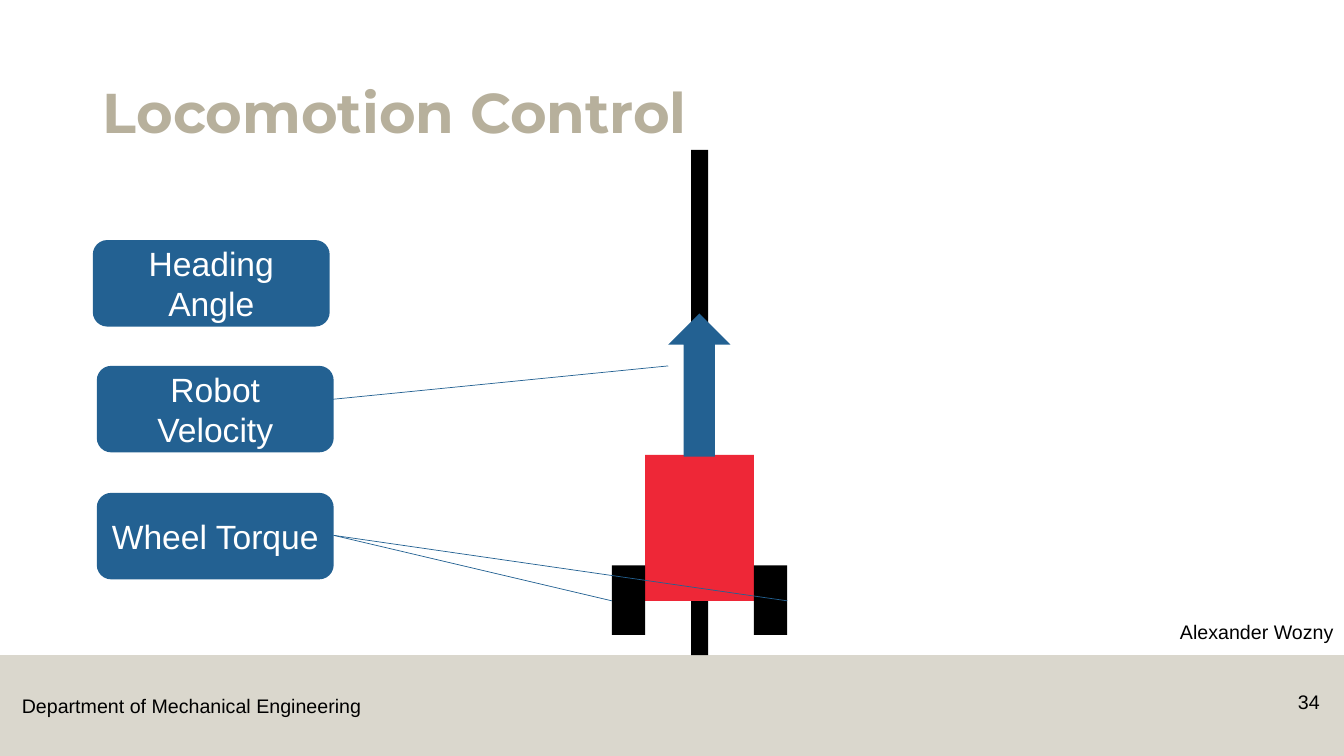
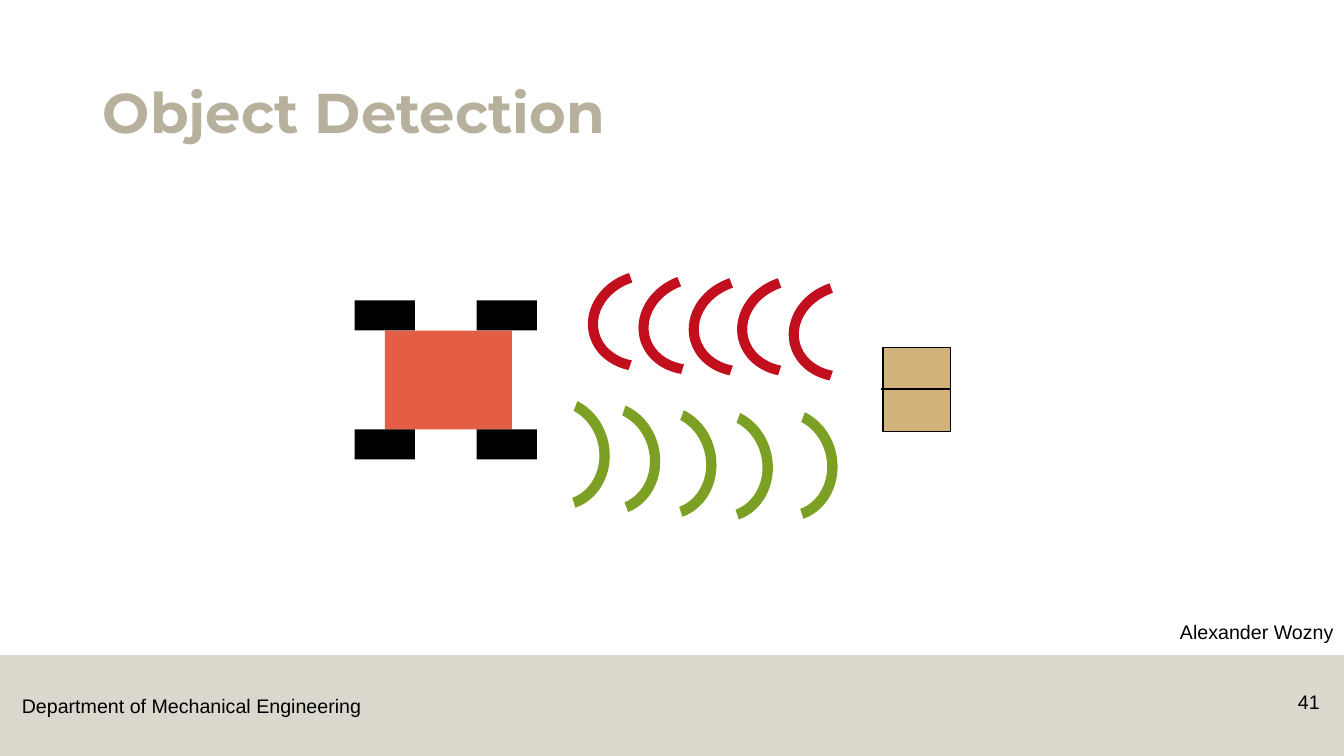
from lxml import etree
from pptx import Presentation
from pptx.dml.color import RGBColor
from pptx.enum.shapes import MSO_CONNECTOR, MSO_SHAPE
from pptx.enum.text import MSO_ANCHOR, PP_ALIGN
from pptx.oxml.ns import qn
from pptx.util import Cm, Pt

RECT, ROUND_RECT = MSO_SHAPE.RECTANGLE, MSO_SHAPE.ROUNDED_RECTANGLE
UP_ARROW, BLOCK_ARC = MSO_SHAPE.UP_ARROW, MSO_SHAPE.BLOCK_ARC
STRAIGHT = MSO_CONNECTOR.STRAIGHT
LEFT, CENTER, RIGHT = PP_ALIGN.LEFT, PP_ALIGN.CENTER, PP_ALIGN.RIGHT
MIDDLE, BOTTOM = MSO_ANCHOR.MIDDLE, MSO_ANCHOR.BOTTOM

COLORS = {
    "sand": "B7B09C", "black": "000000", "white": "FFFFFF", "blue": "236192",
    "red": "EE2737", "coral": "E45E46", "green": "7CA023",
    "crimson": "C10F1D", "cardboard": "D3B37C",
}
BODY_FONT, TITLE_FONT = "Arial", "Montserrat"

# Content; all lengths in centimetres
WIDTH, HEIGHT, BAND_HEIGHT = 33.87, 19.05, 2.54
BAND_TOP = HEIGHT - BAND_HEIGHT
DEPARTMENT = "Department of Mechanical Engineering"
AUTHOR = "Alexander Wozny"

LABEL_SIZE = (5.97, 2.18)
LABELS = [  # text, left, top
    ("Heading Angle", 2.34, 6.05),
    ("Robot Velocity", 2.44, 9.22),
    ("Wheel Torque", 2.44, 12.42),
]
POINTERS = [  # start, end
    ((8.2, 10.08), (16.84, 9.22)),
    ((8.41, 13.49), (15.42, 15.14)),
    ((8.41, 13.49), (19.84, 15.14)),
]

WAVES = [  # colour, size, (left, top, rotation) of each arc
    ("green", (2.9, 2.62), [
        (12.6, 10.11, 77.5), (13.87, 10.24, 75), (15.29, 10.34, 77.2),
        (16.71, 10.41, 77.2), (18.34, 10.39, 77.2)]),
    ("crimson", (2.54, 2.95), [
        (15.01, 6.6, 256), (16.28, 6.68, 253.5), (17.55, 6.73, 255.7),
        (18.77, 6.73, 255.7), (20.07, 6.86, 255.7)]),
]
ARC_ADJUSTMENTS = (128.06, 212.59, 0.1)


def rgb(name):
    return RGBColor.from_string(COLORS[name])


def style_text(frame, text, size, color, align, font=BODY_FONT, bold=False):
    frame.text = text
    paragraph = frame.paragraphs[0]
    paragraph.alignment = align
    run_font = paragraph.runs[0].font
    run_font.name, run_font.size, run_font.bold = font, Pt(size), bold
    run_font.color.rgb = rgb(color)


def add_text(slide, text, left, top, width, height, align=LEFT, wrap=True):
    box = slide.shapes.add_textbox(Cm(left), Cm(top), Cm(width), Cm(height))
    box.text_frame.word_wrap = wrap
    style_text(box.text_frame, text, 14, "black", align)
    return box


def add_block(slide, kind, color, left, top, width, height, outline=None):
    block = slide.shapes.add_shape(kind, Cm(left), Cm(top), Cm(width), Cm(height))
    block.shadow.inherit = False
    block.fill.solid()
    block.fill.fore_color.rgb = rgb(color)
    if outline:
        block.line.color.rgb = rgb(outline)
        block.line.width = Pt(1)
    else:
        block.line.fill.background()
    return block


def add_line(slide, start, end, color, width):
    line = slide.shapes.add_connector(STRAIGHT, *map(Cm, start + end))
    line.line.color.rgb = rgb(color)
    line.line.width = Pt(width)
    etree.SubElement(line.element.spPr, qn("a:effectLst"))


def add_shared_parts(slide, layout):
    """Draw the band and its texts, then hand them to the layout."""
    band = add_block(slide, RECT, "sand", 0, BAND_TOP, WIDTH, BAND_HEIGHT)
    band_color = band.element.spPr.find(qn("a:solidFill"))[0]
    etree.SubElement(band_color, qn("a:alpha"), val="50000")
    department = add_text(slide, DEPARTMENT, 0.3, 17.35, 9.12, 0.86, wrap=False)
    author = add_text(slide, AUTHOR, 22.43, 15.49, 11.43, 1.02, RIGHT)
    for part in (band, department, author):
        layout.shapes.element.append(part.element)


def add_titled_slide(deck, layout, title, number):
    slide = deck.slides.add_slide(layout)
    heading = slide.shapes.title
    heading.left, heading.top = Cm(2.34), Cm(1.02)
    heading.width, heading.height = Cm(29.21), Cm(2.77)
    heading.text_frame.vertical_anchor = BOTTOM
    style_text(heading.text_frame, title, 40, "sand", LEFT, TITLE_FONT, True)
    heading.text_frame.paragraphs[0].line_spacing = 0.9
    add_text(slide, number, 31.55, 17.25, 1.96, 1.02, RIGHT)
    return slide


def draw_locomotion(slide):
    # Path and robot seen from above
    add_block(slide, RECT, "black", 17.42, 3.78, 0.43, BAND_TOP - 3.78)
    add_block(slide, RECT, "red", 16.26, 11.46, 2.74, 3.68)
    for wheel_left in (15.42, 19):
        add_block(slide, RECT, "black", wheel_left, 14.25, 0.84, 1.75)
    add_block(slide, UP_ARROW, "blue", 16.84, 7.9, 1.57, 3.61)

    # Labels with their pointers
    for text, left, top in LABELS:
        label = add_block(slide, ROUND_RECT, "blue", left, top, *LABEL_SIZE)
        label.text_frame.vertical_anchor = MIDDLE
        label.text_frame.word_wrap = True
        style_text(label.text_frame, text, 24, "white", CENTER)
    for start, end in POINTERS:
        add_line(slide, start, end, "blue", 0.5)


def draw_detection(slide):
    # Sound waves going out and coming back
    for color, size, arcs in WAVES:
        for left, top, rotation in arcs:
            arc = add_block(slide, BLOCK_ARC, color, left, top, *size)
            arc.rotation = rotation
            for index, value in enumerate(ARC_ADJUSTMENTS):
                arc.adjustments[index] = value

    # Robot
    add_block(slide, RECT, "coral", 9.7, 8.33, 3.2, 2.49)
    for wheel_left in (8.94, 12.01):
        for wheel_top in (7.57, 10.82):
            add_block(slide, RECT, "black", wheel_left, wheel_top, 1.52, 0.76)

    # Box in the way
    add_block(slide, RECT, "cardboard", 22.25, 8.76, 1.7, 2.11, "black")
    add_line(slide, (22.2, 9.8), (23.95, 9.8), "black", 1.5)


SLIDES = [
    ("Locomotion Control", "34", draw_locomotion),
    ("Object Detection", "41", draw_detection),
]


def main():
    deck = Presentation()
    deck.slide_width, deck.slide_height = Cm(WIDTH), Cm(HEIGHT)
    title_only = deck.slide_layouts[5]
    for title, number, draw in SLIDES:
        slide = add_titled_slide(deck, title_only, title, number)
        draw(slide)
    add_shared_parts(slide, title_only)
    deck.save("out.pptx")


if __name__ == "__main__":
    main()
